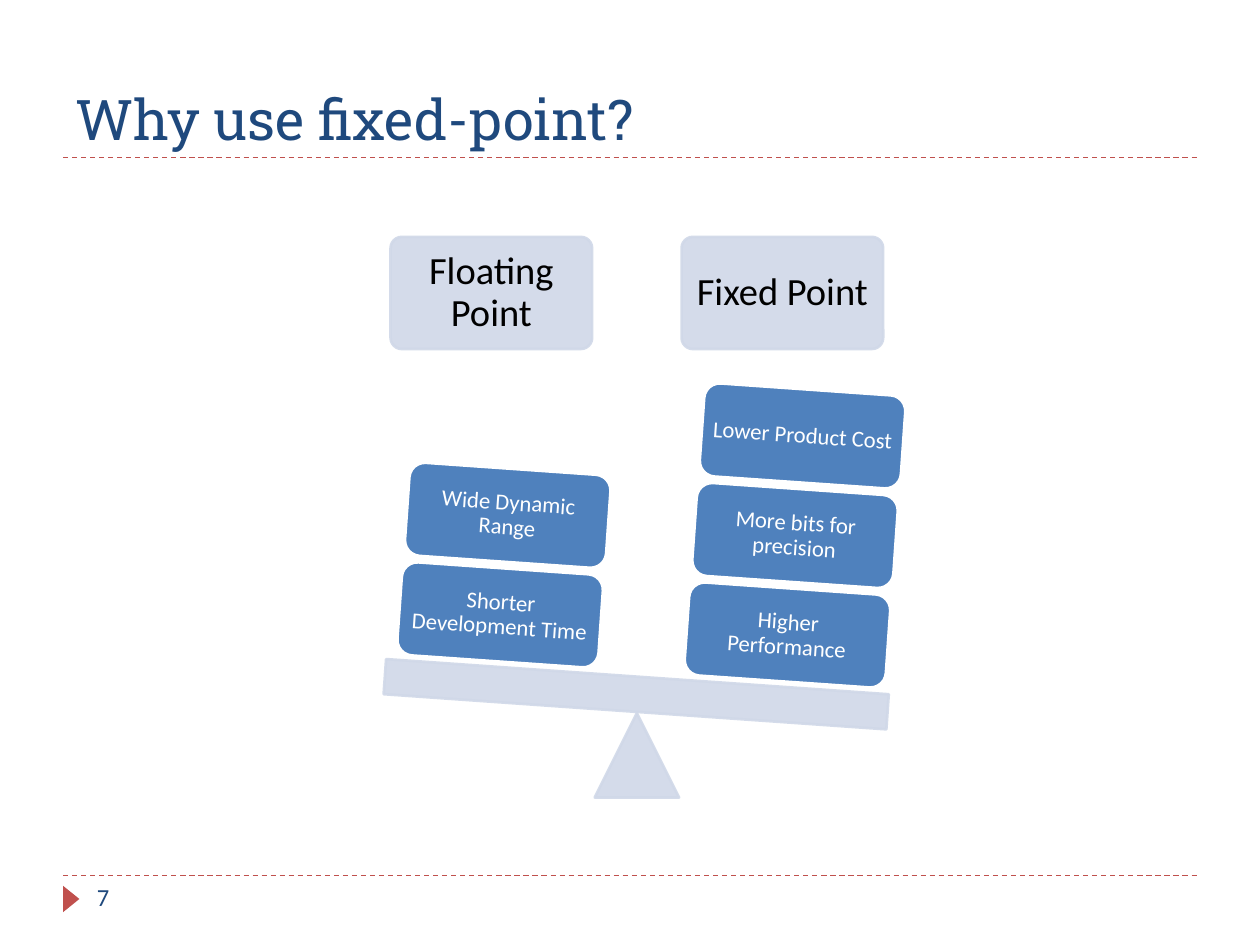
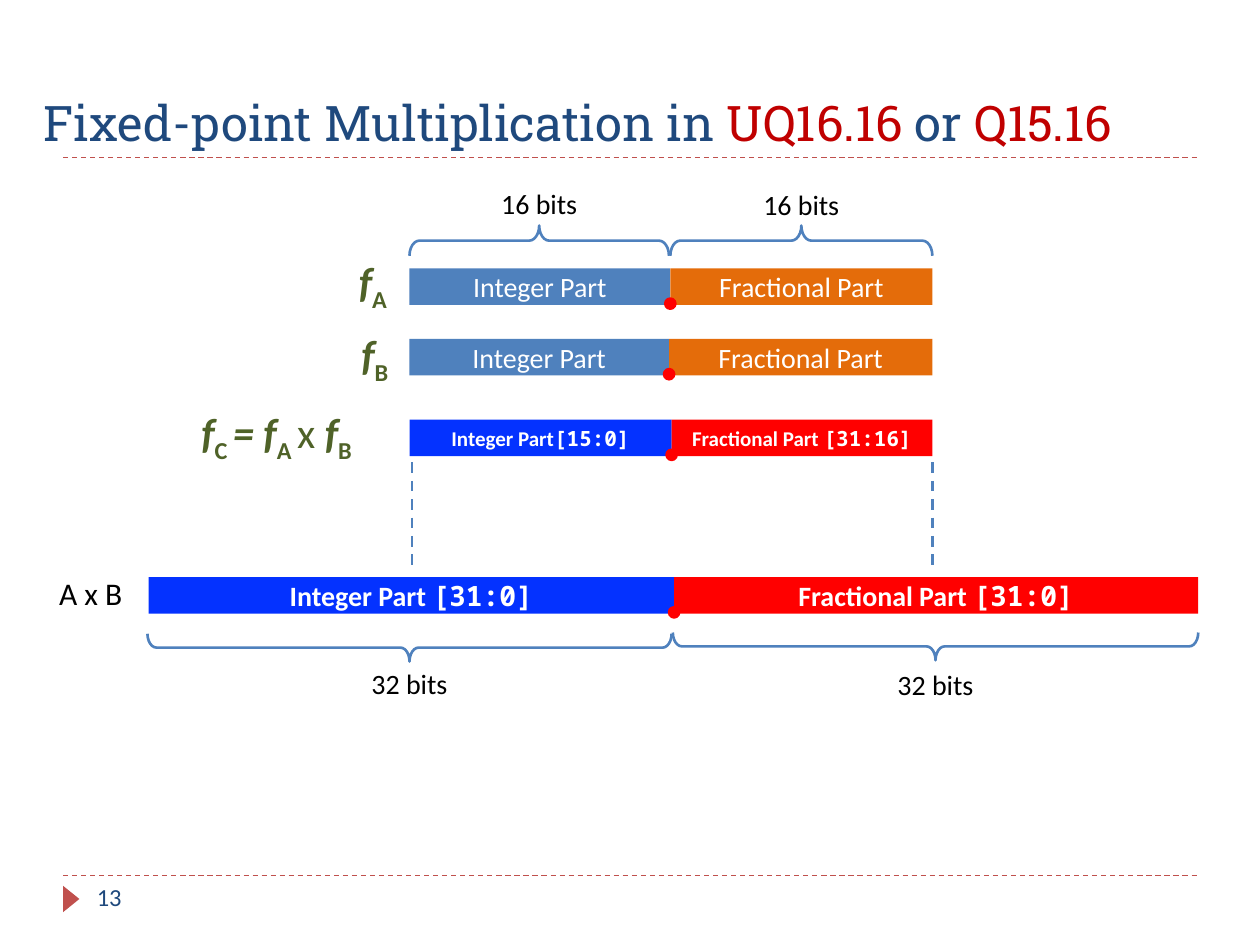
"""Build two slides on fixed-point arithmetic: a balance and a multiplication diagram."""
from dataclasses import dataclass
from typing import NamedTuple, Optional

from lxml import etree
from pptx import Presentation
from pptx.dml.color import RGBColor
from pptx.enum.dml import MSO_LINE
from pptx.enum.shapes import MSO_CONNECTOR, MSO_SHAPE
from pptx.enum.text import MSO_ANCHOR, PP_ALIGN
from pptx.oxml.ns import qn
from pptx.util import Inches, Pt

RECT, ROUND = MSO_SHAPE.RECTANGLE, MSO_SHAPE.ROUNDED_RECTANGLE
TRIANGLE, OVAL = MSO_SHAPE.ISOSCELES_TRIANGLE, MSO_SHAPE.OVAL
BRACE, STRAIGHT, DASH = MSO_SHAPE.RIGHT_BRACE, MSO_CONNECTOR.STRAIGHT, MSO_LINE.DASH
LEFT, CENTER = PP_ALIGN.LEFT, PP_ALIGN.CENTER
TOP, MIDDLE, BOTTOM = MSO_ANCHOR.TOP, MSO_ANCHOR.MIDDLE, MSO_ANCHOR.BOTTOM

COLORS = {
    "navy": "1F497D", "rule": "C0504D", "dark red": "C00000", "black": "000000",
    "white": "FFFFFF", "pale": "D0D8E8", "steel": "4F81BD", "orange": "E46C0A",
    "blue": "0432FF", "red": "FF0000", "green": "4F6228",
}
BODY, HEAD, MONO = "Calibri", "Roboto Slab", "Noto Sans Mono"
TILT = 4
BAR_HEIGHT = 0.29
DOT_SIZE = 0.08


class Box(NamedTuple):
    left: float
    top: float
    width: float
    height: float


class Run(NamedTuple):
    text: str
    color: Optional[str] = None
    font: Optional[str] = None
    bold: Optional[bool] = None
    italic: Optional[bool] = None
    sub: bool = False


@dataclass(frozen=True)
class Style:
    size: float
    color: str = "black"
    font: str = BODY
    bold: bool = False
    align: int = LEFT
    anchor: int = TOP
    spacing: Optional[float] = None
    margin: Optional[float] = None


@dataclass(frozen=True)
class Stack:
    heading: str
    heading_left: float
    left: float
    top: float
    weights: tuple[str, ...]


@dataclass(frozen=True)
class Word:
    top: float
    left: float
    split: float
    right: float
    fills: tuple[str, str]
    style: Style
    ranges: tuple[str, str] = ("", "")
    gap: str = " "


@dataclass(frozen=True)
class Brace:
    left: float
    right: float
    top: float
    height: float
    rotation: int
    label: str
    label_top: float


NUMBER = Style(14, "navy")
HEADING = Style(22, align=CENTER, anchor=MIDDLE, spacing=0.9, margin=0.09)
WEIGHT = Style(13, "white", align=CENTER, anchor=MIDDLE, spacing=0.9, margin=0.05)
PART = Style(16, "white", align=CENTER, anchor=MIDDLE)
BOLD_PART = Style(16, "white", bold=True, align=CENTER, anchor=MIDDLE)
SMALL_PART = Style(12, "white", bold=True, align=CENTER, anchor=MIDDLE)
BITS = Style(16, align=CENTER)
FORMULA = Style(24, "green", bold=True)

STACKS = (
    Stack("Floating Point", 3.1, 3.17, 4.51,
          ("Shorter Development Time", "Wide Dynamic Range")),
    Stack("Fixed Point", 5.41, 5.45, 4.67,
          ("Higher Performance", "More bits for precision", "Lower Product Cost")),
)
WORDS = (
    Word(2.13, 3.25, 5.32, 7.4, ("steel", "orange"), PART),
    Word(2.69, 3.25, 5.31, 7.4, ("steel", "orange"), PART),
    Word(3.33, 3.25, 5.33, 7.4, ("blue", "red"), SMALL_PART, ("[15:0]", "[31:16]"), ""),
    Word(4.58, 1.18, 5.35, 9.51, ("blue", "red"), BOLD_PART, ("[31:0]", "[31:0]")),
)
BRACES = (
    Brace(3.25, 5.31, 1.79, 0.24, 270, "16 bits", 1.43),
    Brace(5.32, 7.4, 1.79, 0.24, 270, "16 bits", 1.44),
    Brace(1.17, 5.33, 5.03, 0.22, 90, "32 bits", 5.24),
    Brace(5.34, 9.51, 5.02, 0.22, 90, "32 bits", 5.25),
)


def rgb(name: str) -> RGBColor:
    return RGBColor.from_string(COLORS[name])


def emu(box: Box) -> list:
    return [Inches(v) for v in box]


def write(tf, runs: list[Run], style: Style, wrap: bool = True) -> None:
    tf.word_wrap = wrap
    tf.vertical_anchor = style.anchor
    if style.margin is not None:
        tf.margin_left = tf.margin_right = Inches(style.margin)
        tf.margin_top = tf.margin_bottom = Inches(style.margin)
    p = tf.paragraphs[0]
    p.alignment = style.align
    if style.spacing:
        p.line_spacing = style.spacing
    p.font.size, p.font.name, p.font.bold = Pt(style.size), style.font, style.bold
    p.font.color.rgb = rgb(style.color)
    for run in runs:
        r = p.add_run()
        r.text = run.text
        if run.color:
            r.font.color.rgb = rgb(run.color)
        if run.font:
            r.font.name = run.font
        r.font.bold, r.font.italic = run.bold, run.italic
        if run.sub:
            r.font._element.set("baseline", "-25000")


def add_text(slide, box: Box, runs: list[Run], style: Style, wrap: bool = True) -> None:
    write(slide.shapes.add_textbox(*emu(box)).text_frame, runs, style, wrap)


def add_shape(slide, kind, box: Box, fill: Optional[str] = None,
              line: Optional[str] = None, rotation: float = 0):
    sp = slide.shapes.add_shape(kind, *emu(box))
    sp.shadow.inherit = False
    sp.rotation = rotation
    if fill:
        sp.fill.solid()
        sp.fill.fore_color.rgb = rgb(fill)
    else:
        sp.fill.background()
    if line:
        sp.line.color.rgb = rgb(line)
        sp.line.width = Pt(1.5)
    else:
        sp.line.fill.background()
    return sp


def add_pale(slide, kind, box: Box, rotation: float = 0):
    sp = add_shape(slide, kind, box, "pale", "pale", rotation)
    for color in sp._element.spPr.iter(qn("a:srgbClr")):
        etree.SubElement(color, qn("a:alpha")).set("val", "90000")
    return sp


def add_dashes(slide, x1: float, y1: float, x2: float, y2: float,
               color: str, width: float) -> None:
    line = slide.shapes.add_connector(STRAIGHT, *emu(Box(x1, y1, x2, y2)))
    line.line.color.rgb = rgb(color)
    line.line.width = Pt(width)
    line.line.dash_style = DASH
    etree.SubElement(line._element.spPr, qn("a:effectLst"))


def add_slide(prs, number: int, title: list[Run], size: float, box: Box):
    slide = prs.slides.add_slide(prs.slide_layouts[6])
    for y in (6.95, 1.25):
        add_dashes(slide, 0.5, y, 9.5, y, "rule", 0.75)
    add_shape(slide, TRIANGLE, Box(0.46, 7.07, 0.21, 0.13), "rule", rotation=90)
    add_text(slide, box, title, Style(size, "navy", HEAD, anchor=BOTTOM))
    add_text(slide, Box(0.67, 6.95, 2.17, 0.4), [Run(str(number))], NUMBER)
    return slide


def add_stack(slide, stack: Stack) -> None:
    sp = add_pale(slide, ROUND, Box(stack.heading_left, 1.88, 1.6, 0.89))
    sp.adjustments[0] = 0.1
    write(sp.text_frame, [Run(stack.heading)], HEADING)
    for i, text in enumerate(stack.weights):
        box = Box(stack.left + 0.06 * i, stack.top - 0.79 * i, 1.6, 0.74)
        sp = add_shape(slide, ROUND, box, "steel", "white", TILT)
        write(sp.text_frame, [Run(text)], WEIGHT)


def add_word(slide, word: Word) -> None:
    edges = (word.left, word.split, word.right)
    names = ("Integer Part" + word.gap * bool(word.ranges[0]),
             "Fractional Part" + " " * bool(word.ranges[1]))
    for i, (name, bits, fill) in enumerate(zip(names, word.ranges, word.fills)):
        box = Box(edges[i], word.top, edges[i + 1] - edges[i], BAR_HEIGHT)
        runs = [Run(name)] + ([Run(bits, font=MONO)] if bits else [])
        write(add_shape(slide, RECT, box, fill).text_frame, runs, word.style)
    dot = Box(word.split - DOT_SIZE / 2, word.top + 0.24, DOT_SIZE, DOT_SIZE)
    add_shape(slide, OVAL, dot, "red", "red")


def add_brace(slide, brace: Brace) -> None:
    span = brace.right - brace.left
    x, y = (brace.left + brace.right) / 2, brace.top + brace.height / 2
    box = Box(x - brace.height / 2, y - span / 2, brace.height, span)
    sp = add_shape(slide, BRACE, box, line="steel", rotation=brace.rotation)
    sp.adjustments[0] = 0.327
    add_text(slide, Box(x - 0.4, brace.label_top, 0.8, 0.37),
             [Run(brace.label)], BITS, wrap=False)


def operand(sub: str, prefix: str = "") -> list[Run]:
    return [Run(prefix + "f", italic=True), Run(sub, sub=True)]


def build_balance(prs) -> None:
    slide = add_slide(prs, 7, [Run("Why use fixed-point?")], 32, Box(0.5, 0.17, 9, 1.08))
    add_pale(slide, TRIANGLE, Box(4.72, 5.66, 0.67, 0.67))
    add_pale(slide, RECT, Box(3.05, 5.37, 4, 0.28), TILT)
    for stack in STACKS:
        add_stack(slide, stack)


def build_multiplication(prs) -> None:
    title = [Run("Fixed-point Multiplication in "), Run("UQ16.16", "dark red"),
             Run(" or "), Run("Q15.16", "dark red")]
    slide = add_slide(prs, 13, title, 28, Box(0.25, 0.17, 9.67, 1.08))
    for word in WORDS:
        add_word(slide, word)
    for brace in BRACES:
        add_brace(slide, brace)
    for x in (3.27, 7.4):
        add_dashes(slide, x, 3.67, x, 4.51, "steel", 1.5)
    product = [*operand("C "), *operand("A ", "= "), Run("x ", bold=False), *operand("B")]
    for box, runs in ((Box(2.75, 1.98, 0.49, 0.5), operand("A")),
                      (Box(2.77, 2.56, 0.47, 0.5), operand("B")),
                      (Box(1.5, 3.18, 1.72, 0.5), product)):
        add_text(slide, box, runs, FORMULA, wrap=False)
    add_text(slide, Box(0.37, 4.51, 0.78, 0.4), [Run("A x B")], Style(18), wrap=False)


def main() -> None:
    prs = Presentation()
    prs.slide_width, prs.slide_height = Inches(10), Inches(7.5)
    build_balance(prs)
    build_multiplication(prs)
    prs.save("out.pptx")


if __name__ == "__main__":
    main()
